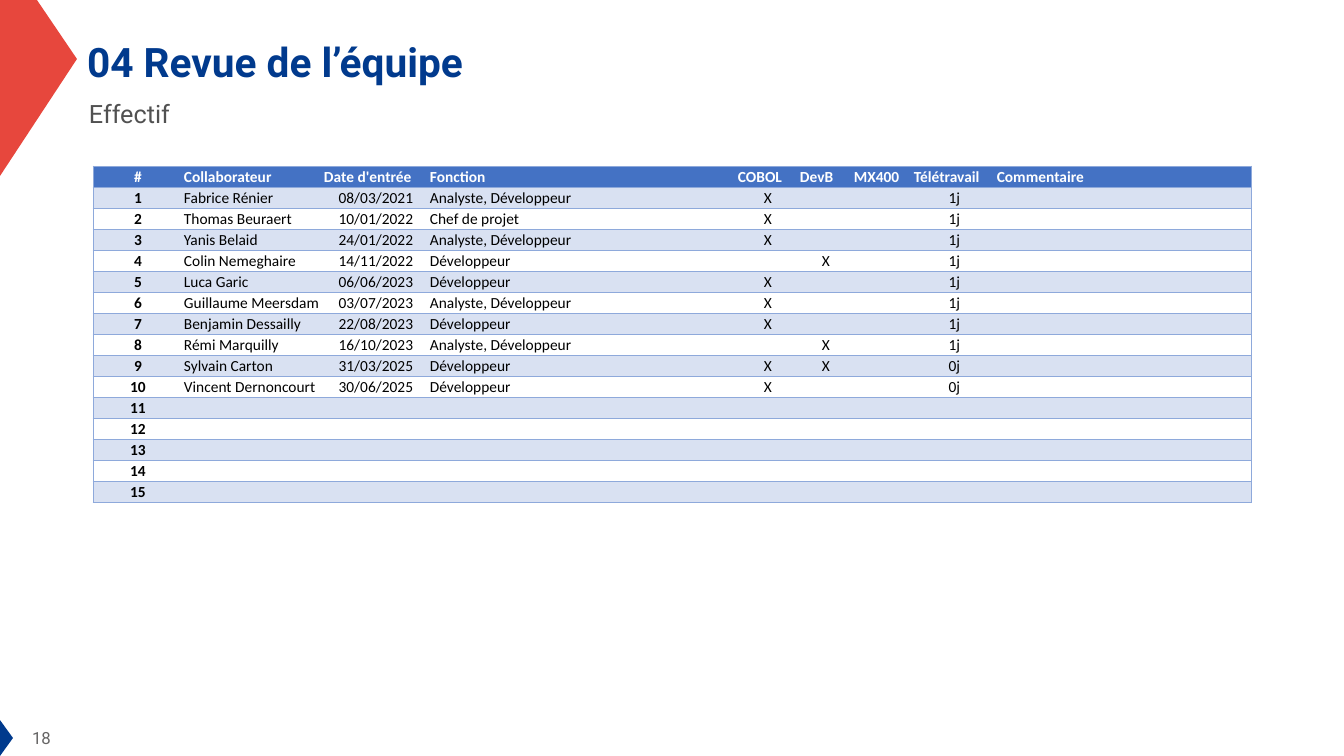
from dataclasses import dataclass
from typing import Any, NamedTuple

import lxml.etree
import pptx
import pptx.dml.color
import pptx.enum.text
import pptx.oxml.ns
import pptx.util

Color = pptx.dml.color.RGBColor
Align = pptx.enum.text.PP_ALIGN
Anchor = pptx.enum.text.MSO_ANCHOR
qn = pptx.oxml.ns.qn

PAGE_WIDTH, PAGE_HEIGHT = 1344, 756
EMU_PER_PX = 12192000 / PAGE_WIDTH
NO_TABLE_STYLE = "{2D5ABB26-0587-4C30-8999-92F81FD0307C}"
TABLE_LEFT, TABLE_TOP, ROW_HEIGHT = 93, 166, 21
LAST_NUMBER = 15


@dataclass(frozen=True)
class Theme:
    red: str = "E7473D"
    navy: str = "003A8D"
    title: str = "013A8D"
    subtitle: str = "515151"
    number: str = "666565"
    header: str = "4472C4"
    band: str = "D9E1F2"
    border: str = "8EA9DB"
    white: str = "FFFFFF"
    black: str = "000000"
    heading_font: str = "Roboto"
    table_font: str = "Calibri"
    title_size: int = 29
    subtitle_size: int = 18
    number_size: int = 12
    table_size: int = 11
    border_width: float = 0.5


THEME = Theme()


class Marker(NamedTuple):
    points: list[tuple[int, int]]
    color: str


class Label(NamedTuple):
    text: str
    frame: tuple[int, int, int, int]
    size: int
    color: str
    margins: tuple[int, int]
    wrap: bool


class Column(NamedTuple):
    heading: str
    width: int
    align: Any


class Member(NamedTuple):
    name: str
    entry: str
    role: str
    skills: tuple[str, str, str]
    remote: str


MARKERS = [
    Marker([(0, 0), (37, 0), (77, 59), (0, 176)], THEME.red),
    Marker([(0, 720), (13, 738), (0, 756)], THEME.navy),
]
LABELS = [
    Label("18", (24, 720, 44, 36), THEME.number_size, THEME.number, (8, 8), True),
    Label("Effectif", (79, 93, 102, 40), THEME.subtitle_size, THEME.subtitle, (10, 5), False),
]
COLUMNS = [
    Column("#", 90, Align.CENTER),
    Column("Collaborateur", 140, Align.LEFT),
    Column("Date d'entrée", 106, Align.CENTER),
    Column("Fonction", 308, Align.LEFT),
    Column("COBOL", 62, Align.CENTER),
    Column("DevB", 54, Align.CENTER),
    Column("MX400", 60, Align.CENTER),
    Column("Télétravail", 83, Align.CENTER),
    Column("Commentaire", 256, Align.LEFT),
]
ANALYST, DEVELOPER = "Analyste, Développeur", "Développeur"
COBOL, DEVB, BOTH = ("X", "", ""), ("", "X", ""), ("X", "X", "")
TEAM = [
    Member("Fabrice Rénier", "08/03/2021", ANALYST, COBOL, "1j"),
    Member("Thomas Beuraert", "10/01/2022", "Chef de projet", COBOL, "1j"),
    Member("Yanis Belaid", "24/01/2022", ANALYST, COBOL, "1j"),
    Member("Colin Nemeghaire", "14/11/2022", DEVELOPER, DEVB, "1j"),
    Member("Luca Garic", "06/06/2023", DEVELOPER, COBOL, "1j"),
    Member("Guillaume Meersdam", "03/07/2023", ANALYST, COBOL, "1j"),
    Member("Benjamin Dessailly", "22/08/2023", DEVELOPER, COBOL, "1j"),
    Member("Rémi Marquilly", "16/10/2023", ANALYST, DEVB, "1j"),
    Member("Sylvain Carton", "31/03/2025", DEVELOPER, BOTH, "0j"),
    Member("Vincent Dernoncourt", "30/06/2025", DEVELOPER, COBOL, "0j"),
]


def px(length: int) -> int:
    return round(length * EMU_PER_PX)


def set_values(target: Any, values: dict[str, Any]) -> None:
    for name, value in values.items():
        setattr(target, name, value)


def margins(left: int, top: int, right: int, bottom: int) -> dict[str, int]:
    return {"margin_left": px(left), "margin_top": px(top),
            "margin_right": px(right), "margin_bottom": px(bottom)}


def write(para: Any, text: str, font: str, size: int, color: str, bold: bool = False) -> None:
    span = para.add_run()
    span.text = text
    set_values(span.font, {"name": font, "size": pptx.util.Pt(size), "bold": bold})
    span.font.color.rgb = Color.from_string(color)


def draw_title(page: Any, text: str) -> None:
    title = page.shapes.title
    set_values(title, {"left": px(79), "top": 0, "width": px(1245), "height": px(128)})
    set_values(title.text_frame, {"vertical_anchor": Anchor.MIDDLE, "word_wrap": True,
                                  "auto_size": pptx.enum.text.MSO_AUTO_SIZE.NONE,
                                  **margins(8, 8, 8, 8)})
    para = title.text_frame.paragraphs[0]
    set_values(para, {"alignment": Align.LEFT, "line_spacing": 0.9})
    write(para, text, THEME.heading_font, THEME.title_size, THEME.title, True)


def draw_marker(page: Any, marker: Marker) -> None:
    builder = page.shapes.build_freeform(*marker.points[0], scale=EMU_PER_PX)
    builder.add_line_segments(marker.points[1:], close=True)
    shape = builder.convert_to_shape()
    shape.shadow.inherit = False
    shape.fill.solid()
    shape.fill.fore_color.rgb = Color.from_string(marker.color)
    shape.line.fill.background()


def draw_label(page: Any, label: Label) -> None:
    box = page.shapes.add_textbox(*map(px, label.frame))
    across, down = label.margins
    set_values(box.text_frame, {"word_wrap": label.wrap, **margins(across, down, across, down)})
    write(box.text_frame.paragraphs[0], label.text, THEME.heading_font, label.size, label.color)


def add_border(cell: Any, side: str) -> None:
    properties = cell._tc.get_or_add_tcPr()
    width = str(pptx.util.Pt(THEME.border_width))
    line = lxml.etree.SubElement(properties, qn(f"a:ln{side}"), w=width)
    fill = lxml.etree.SubElement(line, qn("a:solidFill"))
    lxml.etree.SubElement(fill, qn("a:srgbClr"), val=THEME.border)


def fill_cell(cell: Any, text: str, row: int, index: int) -> None:
    is_header = row == 0
    sides = ("L" if index == 0 else "") + ("R" if index == len(COLUMNS) - 1 else "") + "TB"
    for side in sides:
        add_border(cell, side)
    set_values(cell, {"vertical_anchor": Anchor.BOTTOM, **margins(1, 1, 1, 0)})
    if row % 2 or is_header:
        cell.fill.solid()
        cell.fill.fore_color.rgb = Color.from_string(THEME.header if is_header else THEME.band)
    else:
        cell.fill.background()
    para = cell.text_frame.paragraphs[0]
    para.alignment = Align.LEFT if is_header and index else COLUMNS[index].align
    if text:
        write(para, text, THEME.table_font, THEME.table_size,
              THEME.white if is_header else THEME.black, is_header or index == 0)
    else:
        size = str(THEME.table_size * 100)
        lxml.etree.SubElement(para._p, qn("a:endParaRPr"), sz=size)


def draw_team_table(page: Any) -> None:
    rows = [[column.heading for column in COLUMNS]]
    for number in range(1, LAST_NUMBER + 1):
        member = TEAM[number - 1] if number <= len(TEAM) else Member("", "", "", ("", "", ""), "")
        rows.append([str(number), member.name, member.entry, member.role,
                     *member.skills, member.remote, ""])
    width = sum(column.width for column in COLUMNS)
    frame = page.shapes.add_table(len(rows), len(COLUMNS), px(TABLE_LEFT), px(TABLE_TOP),
                                  px(width), px(ROW_HEIGHT * len(rows)))
    table = frame.table
    set_values(table, {"first_row": False, "horz_banding": False})
    table._tbl.tblPr.find(qn("a:tableStyleId")).text = NO_TABLE_STYLE
    for index, column in enumerate(COLUMNS):
        table.columns[index].width = px(column.width)
    for row, texts in enumerate(rows):
        table.rows[row].height = px(ROW_HEIGHT)
        for index, text in enumerate(texts):
            fill_cell(table.cell(row, index), text, row, index)


def main() -> None:
    deck = pptx.Presentation()
    set_values(deck, {"slide_width": px(PAGE_WIDTH), "slide_height": px(PAGE_HEIGHT)})
    page = deck.slides.add_slide(deck.slide_layouts.get_by_name("Title Only"))
    for marker in MARKERS:
        draw_marker(page, marker)
    draw_title(page, "04 Revue de l’équipe")
    draw_team_table(page)
    for label in LABELS:
        draw_label(page, label)
    deck.save("out.pptx")


if __name__ == "__main__":
    main()
